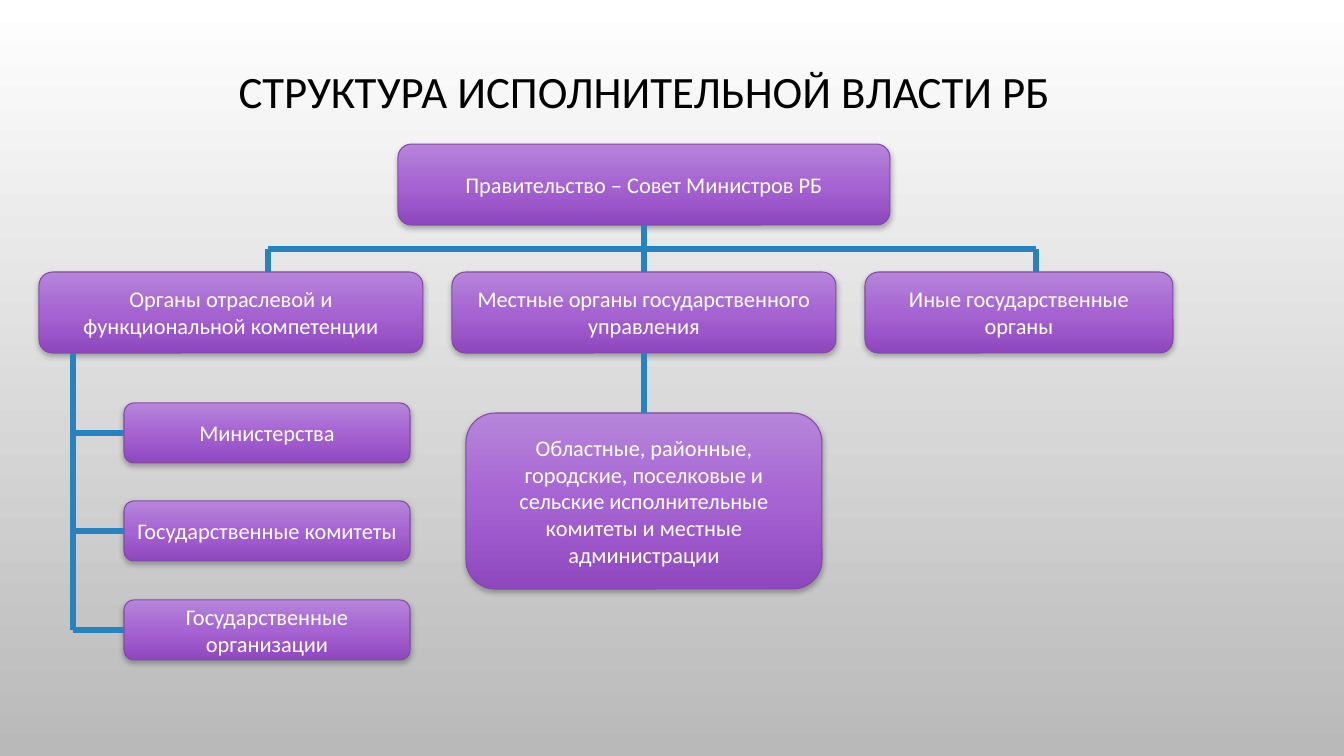
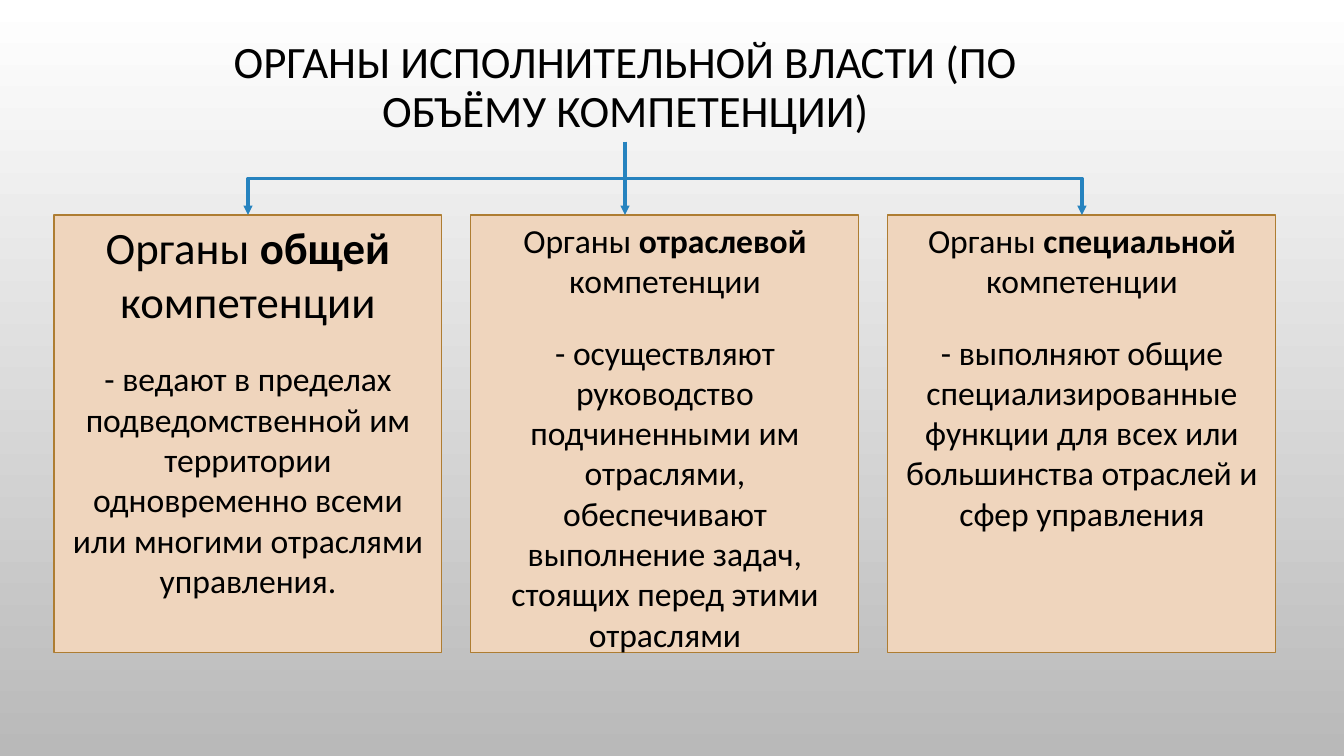
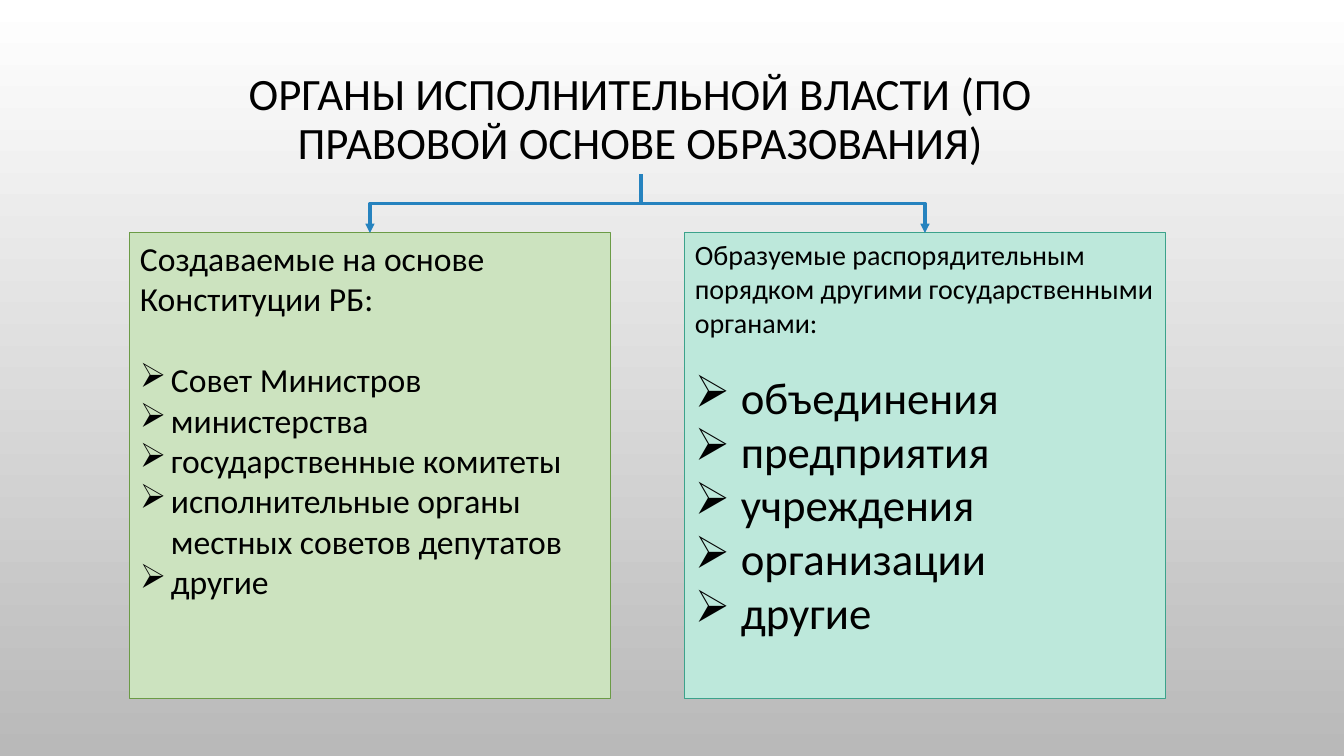
from copy import deepcopy
from dataclasses import dataclass

from lxml.etree import SubElement
from pptx import Presentation
from pptx.dml.color import RGBColor
from pptx.enum.shapes import MSO_CONNECTOR, MSO_SHAPE
from pptx.enum.text import MSO_ANCHOR, MSO_AUTO_SIZE, PP_ALIGN
from pptx.oxml.ns import qn
from pptx.util import Pt

PX = 914400 / 100.8
BOTTOM, LEFT, TOP = 2, 1, 0


@dataclass(frozen=True)
class Theme:
    font: str = "Calibri"
    ink: str = "000000"
    white: str = "FFFFFF"
    backdrop: tuple = ("FFFFFF", "B9B9B9")
    violet: tuple = ("B685DA", "A664D2", "8F47BF")
    violet_edge: str = "834AA7"
    sand: tuple = ("EFD5BD", "AE7D32")
    green: tuple = ("CCE3BF", "6B9B46")
    mint: tuple = ("BDE8DB", "3CA28B")
    link: str = "2683BF"
    large: int = 32
    body: int = 24
    medium: int = 20
    small: int = 16


theme = Theme()


def add_box(page, kind, frame, edge, ink, align, paragraphs):
    """Each paragraph is (parts, size, space before); its second part is bold."""
    box = page.shapes.add_shape(kind, *(round(value * PX) for value in frame))
    box.shadow.inherit = False
    box.line.color.rgb = RGBColor.from_string(edge)
    box.line.width = Pt(0.75)
    text = box.text_frame
    text.word_wrap = True
    for number, (parts, size, space) in enumerate(paragraphs):
        para = text.add_paragraph() if number else text.paragraphs[0]
        para.alignment = align
        para.space_before = Pt(space)
        for index, part in enumerate(parts):
            span = para.add_run()
            span.text = part
            span.font.name = theme.font
            span.font.size = Pt(size)
            span.font.bold = index == 1
            span.font.color.rgb = RGBColor.from_string(ink)
    return box


def add_link(page, x1, y1, x2, y2, weight, arrow=False):
    """Straight line, or an elbow that leaves and arrives vertically."""
    elbow = x1 != x2 and y1 != y2
    ends = x1, y1, x2, y2
    kind = MSO_CONNECTOR.STRAIGHT
    if elbow:
        kind = MSO_CONNECTOR.ELBOW
        middle_x, middle_y = (x1 + x2) / 2, (y1 + y2) / 2
        half_drop, half_run = (y2 - y1) / 2, abs(x2 - x1) / 2
        ends = (middle_x - half_drop, middle_y - half_run,
                middle_x + half_drop, middle_y + half_run)
    link = page.shapes.add_connector(kind, *(round(value * PX) for value in ends))
    link.line.color.rgb = RGBColor.from_string(theme.link)
    link.line.width = Pt(weight)
    properties = link._element.spPr
    if elbow:
        transform = properties.find(qn("a:xfrm"))
        transform.set("rot", "5400000" if x2 < x1 else "16200000")
        if x2 > x1:
            transform.set("flipH", "1")
    if arrow:
        SubElement(properties.find(qn("a:ln")), qn("a:tailEnd"), type="triangle")
    SubElement(properties, qn("a:effectLst"))
    return link


deck = Presentation()
deck.slide_width, deck.slide_height = round(1344 * PX), round(756 * PX)
backdrop = deck.slide_master.background.fill
backdrop.gradient()
backdrop.gradient_angle = 270
for stop, colour in zip(backdrop.gradient_stops, theme.backdrop):
    stop.color.rgb = RGBColor.from_string(colour)

pages = []
for heading, frame in (
    ("СТРУКТУРА ИСПОЛНИТЕЛЬНОЙ ВЛАСТИ РБ", (125, 56, 1039, 67)),
    ("ОРГАНЫ ИСПОЛНИТЕЛЬНОЙ ВЛАСТИ (ПО ОБЪЁМУ КОМПЕТЕНЦИИ)", (199, 22, 853, 120)),
    ("ОРГАНЫ ИСПОЛНИТЕЛЬНОЙ ВЛАСТИ (ПО ПРАВОВОЙ ОСНОВЕ ОБРАЗОВАНИЯ)",
     (173, 61, 935, 113)),
):
    page = deck.slides.add_slide(deck.slide_layouts[5])
    title = page.shapes.title
    title.left, title.top, title.width, title.height = (
        round(value * PX) for value in frame)
    title.text_frame.text = heading
    title.text_frame.word_wrap = True
    title.text_frame.auto_size = MSO_AUTO_SIZE.NONE
    title.text_frame.vertical_anchor = MSO_ANCHOR.BOTTOM
    para = title.text_frame.paragraphs[0]
    para.alignment = PP_ALIGN.CENTER
    para.line_spacing = 0.9
    font = para.runs[0].font
    font.name, font.size = theme.font, Pt(theme.large)
    font.color.rgb = RGBColor.from_string(theme.ink)
    pages.append(page)
structure, competence, legal_basis = pages

# Slide 1: organisation chart
cards = []
for label, frame in (
    ("Правительство – Совет Министров РБ", (398, 144, 492, 81)),
    ("Органы отраслевой и функциональной компетенции", (39, 272, 384, 81)),
    ("Местные органы государственного управления", (452, 272, 384, 81)),
    ("Иные государственные органы", (865, 272, 308, 81)),
    ("Областные, районные, городские, поселковые и сельские исполнительные "
     "комитеты и местные администрации", (466, 413, 356, 176)),
    ("Министерства", (124, 403, 286, 60)),
    ("Государственные комитеты", (124, 501, 286, 60)),
    ("Государственные организации", (124, 600, 286, 60)),
):
    card = add_box(structure, MSO_SHAPE.ROUNDED_RECTANGLE, frame, theme.violet_edge,
                   theme.white, PP_ALIGN.CENTER, [((label,), theme.small, 0)])
    card.text_frame.vertical_anchor = MSO_ANCHOR.MIDDLE
    card.fill.gradient()
    card.fill.gradient_angle = 270
    properties = card._element.spPr
    stops = properties.find(".//" + qn("a:gsLst"))
    middle_stop = deepcopy(stops[0])
    middle_stop.set("pos", "50000")
    stops.insert(1, middle_stop)
    for stop, colour in zip(card.fill.gradient_stops, theme.violet):
        stop.color.rgb = RGBColor.from_string(colour)
    shadow = SubElement(properties.find(qn("a:effectLst")), qn("a:outerShdw"),
                        blurRad=str(Pt(4)), dist=str(Pt(2)), dir="5400000",
                        rotWithShape="0")
    shadow_colour = SubElement(shadow, qn("a:srgbClr"), val=theme.ink)
    SubElement(shadow_colour, qn("a:alpha"), val="28000")
    cards.append(card)
government, sector, local, other, committees, *sector_bodies = cards

for upper, lower, start, end in ((government, local, 225, 272),
                                 (local, committees, 353, 413)):
    link = add_link(structure, 644, start, 644, end, 4.5)
    link.begin_connect(upper, BOTTOM)
    link.end_connect(lower, TOP)
for x in (268, 1036):
    add_link(structure, 644, 249, x, 249, 4.5)
    add_link(structure, x, 249, x, 272, 4.5)
add_link(structure, 73, 353, 73, 630, 4.5)
for body, y in zip(sector_bodies, (433, 531, 630)):
    add_link(structure, 73, y, 124, y, 4.5).end_connect(body, LEFT)

# Slide 2: three kinds of competence
for column, (kind, heading_size, duty) in enumerate((
    ("общей", theme.large,
     "- ведают в пределах подведомственной им территории одновременно всеми "
     "или многими отраслями управления."),
    ("отраслевой", theme.body,
     "- осуществляют руководство подчиненными им отраслями, обеспечивают "
     "выполнение задач, стоящих перед этими отраслями"),
    ("специальной", theme.body,
     "- выполняют общие специализированные функции для всех или большинства "
     "отраслей и сфер управления"),
)):
    fill, edge = theme.sand
    box = add_box(competence, MSO_SHAPE.RECTANGLE, (54 + column * 417, 215, 388, 438),
                  edge, theme.ink, PP_ALIGN.CENTER,
                  [(("Органы ", kind, " компетенции"), heading_size, 0),
                   ((duty,), theme.body, 22)])
    box.text_frame.vertical_anchor = MSO_ANCHOR.TOP
    box.fill.solid()
    box.fill.fore_color.rgb = RGBColor.from_string(fill)
for x in (248, 1082, 625):
    add_link(competence, 625, 142, x, 215, 2.25, arrow=True)

# Slide 3: two legal bases
for column, (colours, heading, heading_size, items, item_size, space, indent) in enumerate((
    (theme.green, "Создаваемые на основе Конституции РБ:", theme.body,
     ("Совет Министров", "министерства", "государственные комитеты",
      "исполнительные органы местных советов депутатов", "другие"),
     theme.body, 29, 31),
    (theme.mint,
     "Образуемые распорядительным порядком другими государственными органами:",
     theme.medium,
     ("объединения", "предприятия", "учреждения", "организации", "другие"),
     theme.large, 22, 46),
)):
    fill, edge = colours
    left = 130 + column * 555
    paragraphs = [((heading,), heading_size, 0)]
    paragraphs += [((item,), item_size, 0 if number else space)
                   for number, item in enumerate(items)]
    box = add_box(legal_basis, MSO_SHAPE.RECTANGLE, (left, 233, 481, 466), edge,
                  theme.ink, PP_ALIGN.LEFT, paragraphs)
    box.text_frame.vertical_anchor = MSO_ANCHOR.TOP
    box.fill.solid()
    box.fill.fore_color.rgb = RGBColor.from_string(fill)
    for para in box.text_frame.paragraphs[1:]:
        properties = para._p.get_or_add_pPr()
        properties.set("marL", str(round(indent * PX)))
        properties.set("indent", str(round(-indent * PX)))
        SubElement(properties, qn("a:buChar"), char="➢")
    add_link(legal_basis, 641, 174, left + 240, 233, 2.25, arrow=True)

deck.save("out.pptx")
